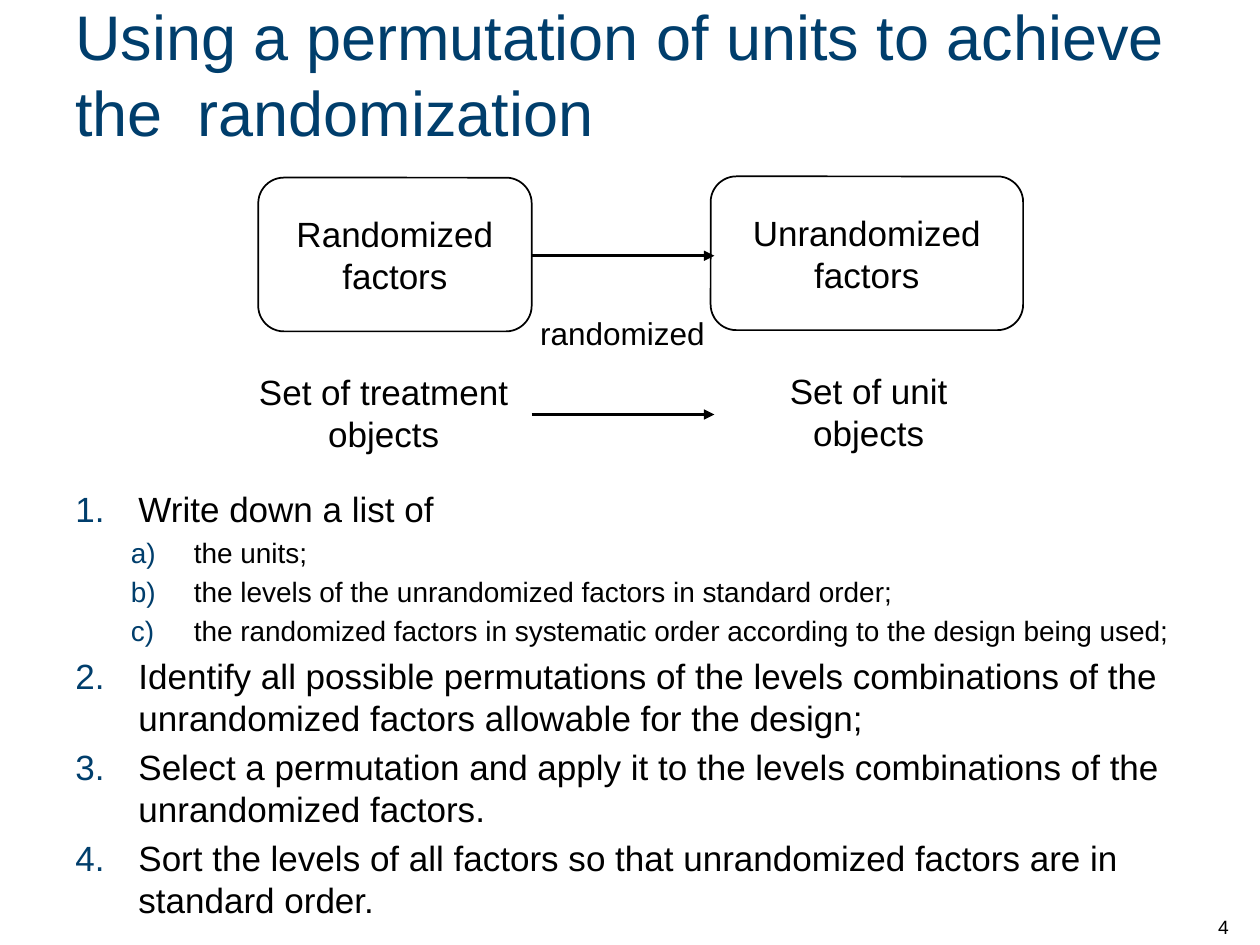
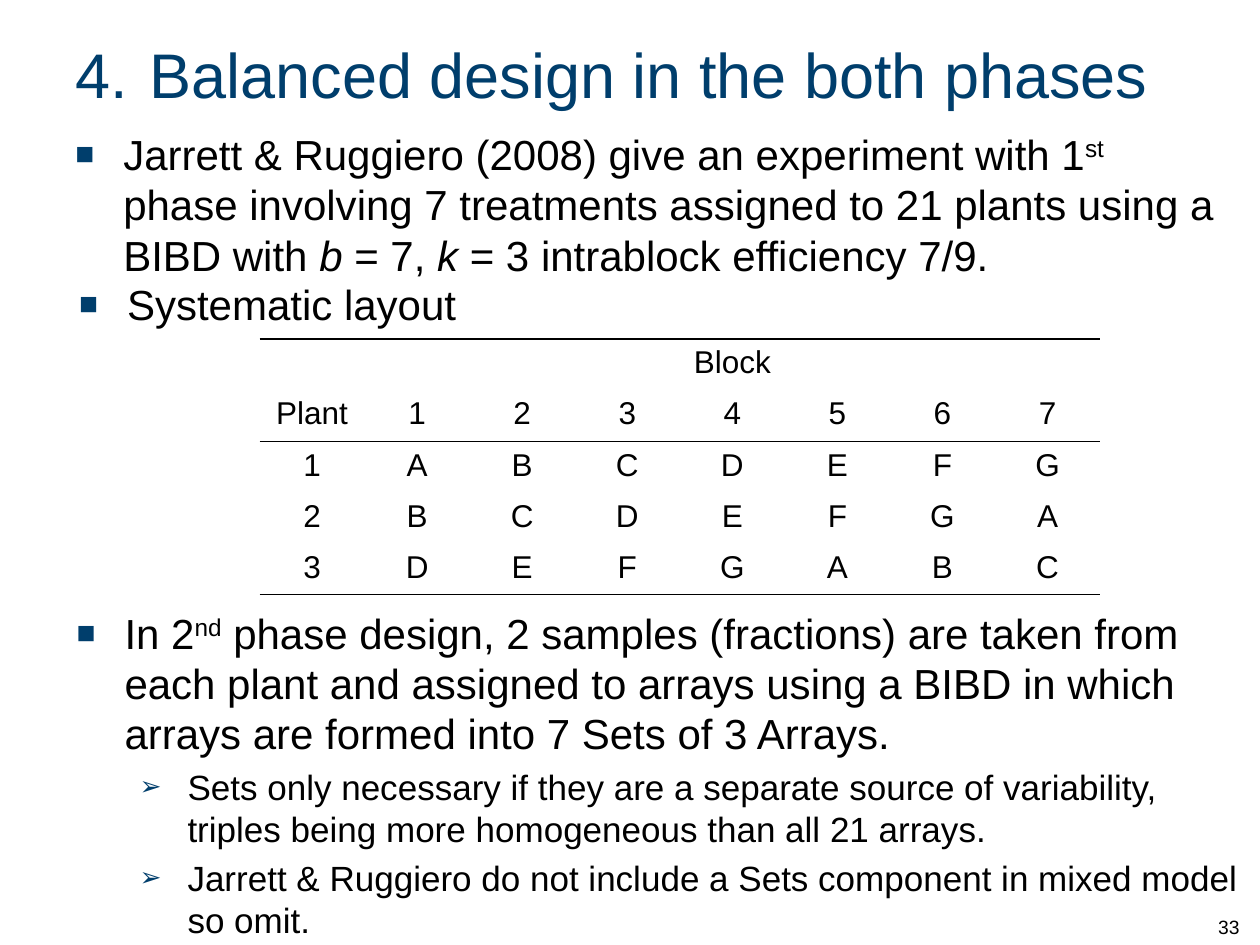
from collections import namedtuple

from lxml import etree
from pptx import Presentation
from pptx.dml.color import RGBColor
from pptx.enum.shapes import MSO_CONNECTOR, MSO_SHAPE
from pptx.enum.text import MSO_ANCHOR, PP_ALIGN
from pptx.oxml.ns import qn
from pptx.util import Inches, Pt

LEFT, MID = PP_ALIGN.LEFT, PP_ALIGN.CENTER
TOP, CENTRE, BASE = MSO_ANCHOR.TOP, MSO_ANCHOR.MIDDLE, MSO_ANCHOR.BOTTOM
ROUND, LINE = MSO_SHAPE.ROUNDED_RECTANGLE, MSO_CONNECTOR.STRAIGHT


class Theme:
    """Colours, font and type sizes (points) of the whole deck."""
    font = "Arial"
    ink, navy = "000000", "003E6C"
    title, large, text, label, small, page = 36, 24, 20, 18, 16, 11
    rule, arrow = 1, 1.5


# A slide is a grid of 100 columns by 75 rows; each cell is 0.1 inch square.
COLS, ROWS, CELL = 100, 75, 0.1

# Bullet: kind of tag, its value, size in percent; margin and hang in inches.
Mark = namedtuple("Mark", "tag key value size margin hang")
NUMBER = Mark("a:buAutoNum", "type", "arabicPeriod", 100, 0.5, 0.5)
LETTER = Mark("a:buAutoNum", "type", "alphaLcParenR", 100, 0.94, 0.5)
SQUARE = Mark("a:buChar", "char", "\u25a0", 75, 0.38, 0.38)
ARROW = Mark("a:buChar", "char", "\u27a2", 75, 0.88, 0.38)
SUBS = (LETTER, ARROW)


def span(cells):
    """Turn grid cells into a length."""
    return Inches(round(cells * CELL, 3))


class Box(namedtuple("Box", "x y w h")):
    """An area in grid cells."""

    def inner(self, x, y, w, h):
        """Give an area placed relative to this one."""
        return Box(self.x + x, self.y + y, w, h)

    def frame(self):
        """Give left, top, width and height as lengths."""
        return [span(side) for side in self]


def node(root, tag, **attrs):
    """Append an XML child with the given attributes."""
    child = etree.SubElement(root, qn(tag))
    for key, value in attrs.items():
        child.set(key, str(value))
    return child


def write(para, runs, size, color=Theme.ink):
    """Add runs to a paragraph: plain strings or (text, style) pairs."""
    for item in [runs] if isinstance(runs, str) else runs:
        text, style = (item, "") if isinstance(item, str) else item
        run = para.add_run()
        run.text = text
        font = run.font
        font.name, font.size = Theme.font, Pt(size)
        font.color.rgb = RGBColor.from_string(color)
        if style == "italic":
            font.italic = True
        if style == "super":
            run._r.get_or_add_rPr().set("baseline", "30000")


def indent(para, margin, hang):
    """Set a hanging indent, in inches."""
    props = para._p.get_or_add_pPr()
    props.set("marL", str(Inches(margin)))
    props.set("indent", str(-Inches(hang)))
    return props


def label(slide, box, text, size, align=LEFT, anchor=TOP, color=Theme.ink):
    """Place a one-paragraph text box and return its paragraph."""
    frame = slide.shapes.add_textbox(*box.frame()).text_frame
    frame.word_wrap, frame.vertical_anchor = True, anchor
    para = frame.paragraphs[0]
    para.alignment = align
    write(para, text, size, color)
    return para


def points(slide, box, items):
    """Place a bulleted list of (mark, size, runs)."""
    frame = slide.shapes.add_textbox(*box.frame()).text_frame
    frame.word_wrap = True
    for rank, (mark, size, runs) in enumerate(items):
        para = frame.add_paragraph() if rank else frame.paragraphs[0]
        para.level = int(mark in SUBS)
        para.space_before = Pt(0.2 * size if rank else 0)
        props = indent(para, mark.margin, mark.hang)
        node(node(props, "a:buClr"), "a:srgbClr", val=Theme.navy)
        node(props, "a:buSzPct", val=mark.size * 1000)
        node(props, "a:buFont", typeface=Theme.font)
        node(props, mark.tag, **{mark.key: mark.value})
        write(para, runs, size)


def base(deck, title, page, width):
    """Start a slide with its title and page number."""
    slide = deck.slides.add_slide(deck.slide_layouts[6])
    head = label(slide, Box(5, 0.8, width, 10), title, Theme.title,
                 anchor=CENTRE, color=Theme.navy)
    label(slide, Box(95.7, 70, 4.2, 5), page, Theme.page, anchor=BASE)
    return slide, head


def card(slide, box, lines):
    """Draw a rounded box with centred lines of text."""
    shape = slide.shapes.add_shape(ROUND, *box.frame())
    shape.shadow.inherit = False
    shape.fill.background()
    shape.line.color.rgb = RGBColor.from_string(Theme.ink)
    shape.line.width = Pt(Theme.rule)
    frame = shape.text_frame
    frame.word_wrap, frame.vertical_anchor = False, CENTRE
    for rank, line in enumerate(lines):
        para = frame.add_paragraph() if rank else frame.paragraphs[0]
        para.alignment = MID
        write(para, line, Theme.text)


def arrow(slide, box):
    """Draw a level arrow along the top edge of a box."""
    x, y, w, _ = box.frame()
    link = slide.shapes.add_connector(LINE, x, y, x + w, y)
    link.line.color.rgb = RGBColor.from_string(Theme.ink)
    link.line.width = Pt(Theme.arrow)
    node(link.line._get_or_add_ln(), "a:tailEnd", type="triangle")
    node(link._element.spPr, "a:effectLst")


def scheme(slide, box):
    """Draw how treatments are randomized to units."""
    for y in (6.3, 18.9):
        arrow(slide, box.inner(23.3, y, 14.5, 0))
    card(slide, box.inner(1.6, 0.1, 21.7, 12.2), ("Randomized", "factors"))
    card(slide, box.inner(37.5, 0, 24.8, 12.2), ("Unrandomized", "factors"))
    label(slide, box.inner(19, 10.4, 23, 4), "randomized", Theme.label, MID)
    label(slide, box.inner(0, 14.9, 23.1, 7.7), "Set of treatment objects",
          Theme.text, MID)
    label(slide, box.inner(38.7, 14.8, 22.7, 7.7), "Set of unit objects",
          Theme.text, MID)


def edge(cell, sides):
    """Rule the named sides of a cell and clear the others."""
    props = cell._tc.get_or_add_tcPr()
    for side in "LRTB":
        line = node(props, "a:ln" + side, w=Pt(Theme.rule))
        if side in sides:
            node(node(line, "a:solidFill"), "a:srgbClr", val=Theme.ink)
        else:
            node(line, "a:noFill")
    cell.fill.background()


def layout(slide, box):
    """Place the table of treatments, built by cyclic shifts."""
    names, shifts = "ABCDEFG", (0, 1, 3)
    size = len(names)
    rows = [["", "Block"] + [""] * (size - 1),
            ["Plant"] + [str(n + 1) for n in range(size)]]
    for plant, shift in enumerate(shifts, 1):
        rows.append([str(plant)] + list(names[shift:] + names[:shift]))
    rules = (0, 2, len(rows))
    table = slide.shapes.add_table(len(rows), size + 1, *box.frame()).table
    table.first_row = table.horz_banding = False
    for col in table.columns:
        col.width = span(box.w / (size + 1))
    for r, row in enumerate(rows):
        table.rows[r].height = span(box.h / len(rows))
        sides = "T" * (r in rules) + "B" * (r + 1 in rules)
        for c, text in enumerate(row):
            cell = table.cell(r, c)
            edge(cell, sides)
            para = cell.text_frame.paragraphs[0]
            para.alignment = MID
            if text:
                write(para, text, Theme.label)
    table.cell(0, 1).merge(table.cell(0, size))


def method(deck):
    """Build the slide on randomizing by permutation."""
    slide, _ = base(deck, "Using a permutation of units to achieve "
                    "the  randomization", "4", 93.2)
    scheme(slide, Box(18.9, 14, 62.3, 22.6))
    points(slide, Box(5, 38.2, 92.5, 35.2), [
        (NUMBER, Theme.text, "Write down a list of"),
        (LETTER, Theme.small, "the units;"),
        (LETTER, Theme.small, "the levels of the unrandomized factors "
         "in standard order;"),
        (LETTER, Theme.small, "the randomized factors in systematic order "
         "according to the design being used;"),
        (NUMBER, Theme.text, "Identify all possible permutations of the levels "
         "combinations of the unrandomized factors allowable for the design;"),
        (NUMBER, Theme.text, "Select a permutation and apply it to the levels "
         "combinations of the unrandomized factors."),
        (NUMBER, Theme.text, "Sort the levels of all factors so that "
         "unrandomized factors are in standard order."),
    ])


def design(deck):
    """Build the slide on the design balanced in both phases."""
    slide, head = base(deck, "4.\tBalanced design in the both phases", "33", 90)
    indent(head, 0.59, 0.59)
    points(slide, Box(5, 9.7, 92.5, 14.1), [
        (SQUARE, Theme.large, [
            "Jarrett & Ruggiero (2008) give an experiment with 1",
            ("st", "super"),
            " phase involving 7 treatments assigned to 21 plants using a "
            "BIBD with ", ("b", "italic"), " = 7, ", ("k", "italic"),
            " = 3 intrablock efficiency 7/9."]),
    ])
    points(slide, Box(5.3, 21.6, 33.8, 5.4),
           [(SQUARE, Theme.large, "Systematic layout")])
    layout(slide, Box(20.6, 26.9, 66.7, 20.3))
    points(slide, Box(5.1, 47.7, 94.9, 27.3), [
        (SQUARE, Theme.large, [
            "In 2", ("nd", "super"),
            " phase design, 2 samples (fractions) are taken from each plant "
            "and assigned to arrays using a BIBD in which arrays are formed "
            "into 7 Sets of 3 Arrays."]),
        (ARROW, Theme.text, "Sets only necessary if they are a separate source "
         "of variability, triples being more homogeneous than all 21 arrays."),
        (ARROW, Theme.text, "Jarrett & Ruggiero do not include a Sets component "
         "in mixed model so omit."),
    ])


deck = Presentation()
deck.slide_width, deck.slide_height = span(COLS), span(ROWS)
method(deck)
design(deck)
deck.save("out.pptx")
